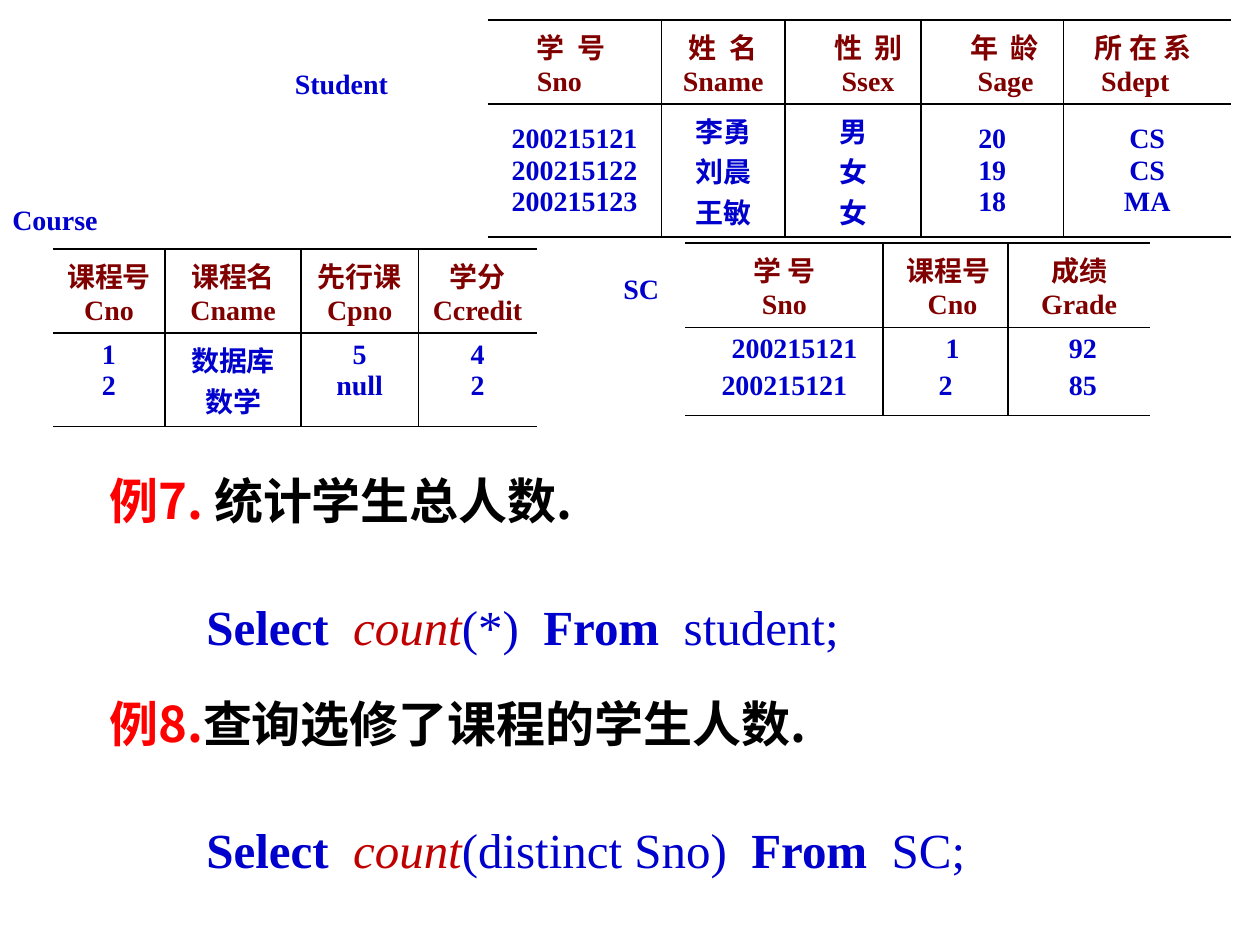
import dataclasses

import pptx
import pptx.dml.color
import pptx.enum.text
import pptx.oxml
import pptx.oxml.ns
import pptx.util
from lxml import etree

RGBColor = pptx.dml.color.RGBColor
ALIGN = pptx.enum.text.PP_ALIGN
ANCHOR = pptx.enum.text.MSO_ANCHOR
Pt = pptx.util.Pt
Inches = pptx.util.Inches

WIDTH, HEIGHT = Inches(10), Inches(7.5)
HEAD_ROW = 8.9
BLUE = RGBColor(0x00, 0x00, 0xCC)
MAROON = RGBColor(0x80, 0x00, 0x00)
RED = RGBColor(0xFF, 0x00, 0x00)
DARK_RED = RGBColor(0xC0, 0x00, 0x00)
BLACK = RGBColor(0x00, 0x00, 0x00)
WHITE = RGBColor(0xFF, 0xFF, 0xFF)
LATIN, CJK = "Times New Roman", "Noto Sans CJK JP"


@dataclasses.dataclass
class Line:
    """One line of a cell; shift is its left margin in inches."""
    text: str
    shift: float = 0
    align: ALIGN = ALIGN.CENTER


def left(text, shift):
    return Line(text, shift, ALIGN.LEFT)


def lines(*texts):
    return [Line(text) for text in texts]


def across(percent):
    return int(WIDTH * percent / 100)


def down(percent):
    return int(HEIGHT * percent / 100)


def set_font(font, size, color, name=LATIN, bold=True, italic=False):
    font.name, font.size = name, Pt(size)
    font.bold, font.italic = bold, italic
    font.color.rgb = color


def add_text(s, x, y, w, h):
    """Adds an empty text box, placed in percent of the slide."""
    tf = s.shapes.add_textbox(across(x), down(y), across(w), down(h)).text_frame
    tf.word_wrap = True
    return tf


def add_label(s, text, x, y, w, h):
    tf = add_text(s, x, y, w, h)
    p = tf.paragraphs[0]
    p.text, p.line_spacing = text, 1.1
    set_font(p.font, 16, BLUE)
    return tf


def set_borders(cell, sides):
    """Rules the named sides in black and clears the others."""
    tcPr = cell._tc.get_or_add_tcPr()
    for i, side in enumerate("LRTB"):
        fill = (f'<a:solidFill><a:srgbClr val="{BLACK}"/></a:solidFill>'
                if side in sides else "<a:noFill/>")
        tcPr.insert(i, pptx.oxml.parse_xml(
            f'<a:ln{side} {pptx.oxml.ns.nsdecls("a")} w="{Pt(1)}">{fill}</a:ln{side}>'))


def fill_cell(cell, content, color, anchor, gap):
    cell.fill.solid()
    cell.fill.fore_color.rgb = WHITE
    cell.vertical_anchor = anchor
    tf = cell.text_frame
    for i, line in enumerate(content):
        p = tf.add_paragraph() if i else tf.paragraphs[0]
        p.text, p.alignment = line.text, line.align
        if line.shift:
            p._p.get_or_add_pPr().set("marL", str(Inches(line.shift)))
        if i and gap:
            p.space_before = Pt(gap)
        set_font(p.font, 16, color)


def add_relation(s, x, y, body_row, columns, anchor=ANCHOR.TOP, gap=0):
    """Adds a two-row table; a column is (width, header lines, body lines)."""
    heights = (HEAD_ROW, body_row)
    table = s.shapes.add_table(
        2, len(columns), across(x), down(y),
        across(sum(c[0] for c in columns)), down(sum(heights))).table
    table.first_row = table.horz_banding = False
    for row, height in zip(table.rows, heights):
        row.height = down(height)
    for i, (width, head, body) in enumerate(columns):
        table.columns[i].width = across(width)
        sides = "TB" + "L" * (i > 0) + "R" * (i < len(columns) - 1)
        for j, (content, color) in enumerate([(head, MAROON), (body, BLUE)]):
            cell = table.cell(j, i)
            fill_cell(cell, content, color, anchor, gap if j else 0)
            set_borders(cell, sides)


def add_run(p, text, color, name=LATIN, bold=False, italic=False):
    r = p.add_run()
    r.text = text
    set_font(r.font, 28, color, name, bold, italic)
    if name == CJK:
        ea = etree.SubElement(r._r.get_or_add_rPr(), pptx.oxml.ns.qn("a:ea"))
        ea.set("typeface", CJK)


def add_example(s, y, number, task, argument, source):
    tf = add_text(s, 7.7, y, 86.7, 22.93)
    title, query = tf.paragraphs[0], tf.add_paragraph()
    query._p.get_or_add_pPr().set("marL", str(Inches(0.77)))
    for p in (title, query):
        p.alignment, p.line_spacing = ALIGN.JUSTIFY, Pt(36)
    query.space_before = Pt(36)
    add_run(title, number, RED, CJK, bold=True)
    add_run(title, task, BLACK, CJK, bold=True)
    add_run(query, "Select  ", BLUE, bold=True)
    add_run(query, "count", DARK_RED, italic=True)
    add_run(query, f"({argument})  ", BLUE)
    add_run(query, "From ", BLUE, bold=True)
    add_run(query, f" {source};", BLUE)


def main():
    prs = pptx.Presentation()
    prs.slide_width, prs.slide_height = WIDTH, HEIGHT
    s = prs.slides.add_slide(prs.slide_layouts[6])

    tf = add_label(s, "Student", 23.4, 6.67, 11.8, 5.73)
    tf.margin_left = tf.margin_right = tf.margin_top = tf.margin_bottom = 0
    add_relation(s, 38.7, 2.1, 14.1, [
        (13.8, [left("学  号", 0.29), left("Sno", 0.29)],
         lines("200215121", "200215122", "200215123")),
        (9.8, lines("姓  名", "Sname"), lines("李勇", "刘晨", "王敏")),
        (10.8, [left("性  别", 0.29), left("Ssex", 0.35)], lines("男", "女", "女")),
        (11.3, [left("年  龄", 0.29), left("Sage", 0.35)], lines("20", "19", "18")),
        (13.3, [left("所 在 系", 0.15), left("Sdept", 0.2)], lines("CS", "CS", "MA")),
    ], anchor=ANCHOR.MIDDLE)

    add_label(s, "Course", 0, 20.4, 9.3, 5.73)
    add_relation(s, 4.2, 26.35, 9.9, [
        (8.9, lines("课程号", "Cno"), lines("1", "2")),
        (10.8, lines("课程名", "Cname"), lines("数据库", "数学")),
        (9.3, lines("先行课", "Cpno"), lines("5", "null")),
        (9.4, lines("学分", "Ccredit"), lines("4", "2")),
    ])

    add_label(s, "SC", 48.5, 27.73, 6.4, 4.53)
    add_relation(s, 54.4, 25.73, 9.33, [
        (15.7, lines("学 号", "Sno"), [Line("200215121", 0.16), Line("200215121")]),
        (9.9, [Line("课程号", 0.05), Line("Cno", 0.11)], [Line("1", 0.11), Line("2")]),
        (11.3, lines("成绩", "Grade"), [Line("92", 0.06), Line("85", 0.06)]),
    ], gap=3.5)

    add_example(s, 48.67, "例7. ", "统计学生总人数.", "*", "student")
    add_example(s, 72.27, "例8.", "查询选修了课程的学生人数.", "distinct Sno", "SC")
    prs.save("out.pptx")


if __name__ == "__main__":
    main()
